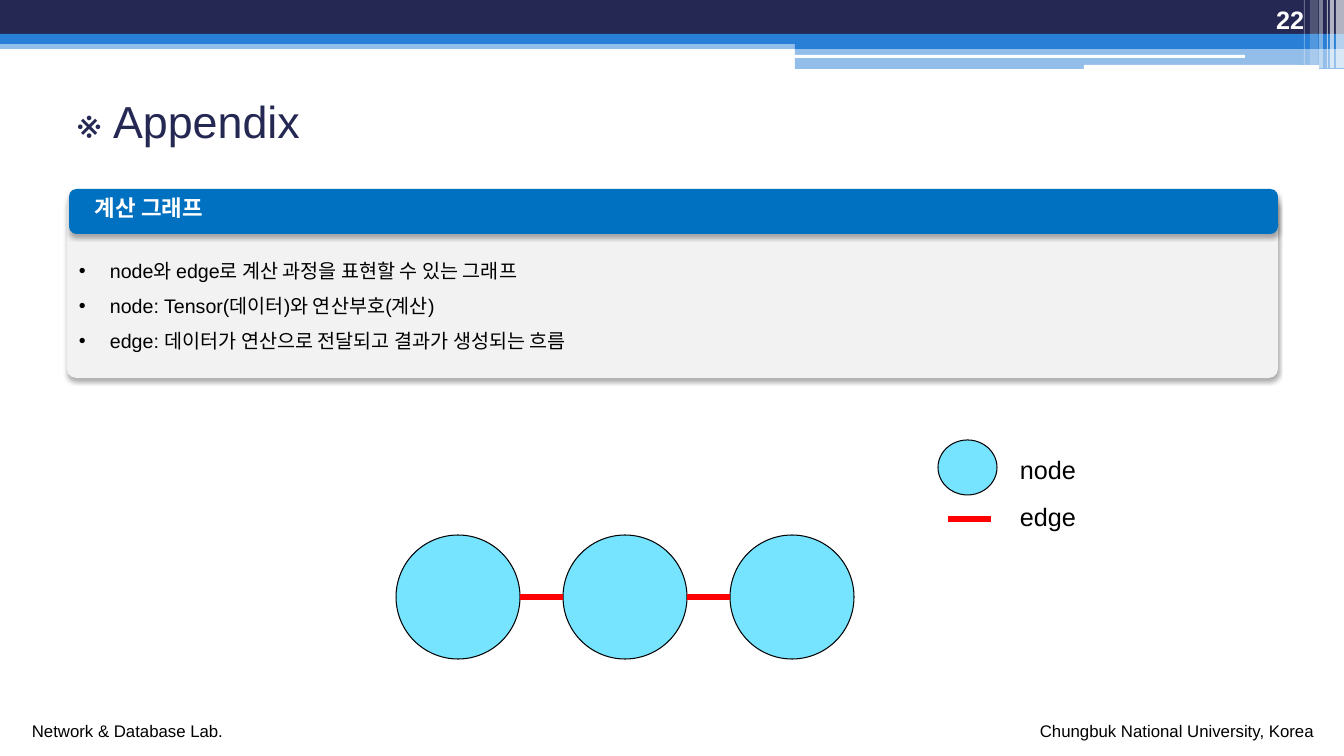
"""Build the appendix slide that explains computation graphs."""
from lxml import etree
from pptx import Presentation, util as u
from pptx.dml.color import RGBColor
from pptx.enum import shapes, text
from pptx.oxml.ns import qn

NAVY = RGBColor(0x24, 0x28, 0x52)
BLUE = RGBColor(0x29, 0x7F, 0xD5)
HEADER_BLUE = RGBColor(0x00, 0x70, 0xC0)
PANEL_GREY = RGBColor(0xF2, 0xF2, 0xF2)
CYAN = RGBColor(0x76, 0xE3, 0xFF)
RED = RGBColor(0xFF, 0x00, 0x00)
BLACK = RGBColor(0x00, 0x00, 0x00)
WHITE = RGBColor(0xFF, 0xFF, 0xFF)

FONT = "Arial"
EMU_PER_PX = 914400 / 100.8
RECT, ROUND, OVAL = (shapes.MSO_SHAPE.RECTANGLE, shapes.MSO_SHAPE.ROUNDED_RECTANGLE,
                     shapes.MSO_SHAPE.OVAL)

BANDS = [
    (RECT, (0, 40, 1344, 9), BLUE, 50),
    (RECT, (0, 0, 1344, 34), NAVY, 100),
    (RECT, (0, 34, 1344, 10), BLUE, 100),
    (RECT, (795, 39, 549, 10), BLUE, 100),
    (RECT, (795, 49, 549, 20), BLUE, 50),
    (ROUND, (794, 55, 451, 3), WHITE, 100),
    (ROUND, (1084, 65, 235, 4), WHITE, 100),
]
STRIPES = [(1336, 8, 68, 65), (1330, 4, 68, 65), (1327, 1, 68, 60),
           (1319, 4, 68, 40), (1310, 8, 65, 20), (1304, 1, 65, 30)]

FOOTERS = [("Network & Database Lab.", (22, 716, 213, 30)),
           ("Chungbuk National University, Korea", (1030, 716, 296, 30))]
TITLE = "※ Appendix"
PAGE_NUMBER = "22"
HEADER = "계산 그래프"
BULLETS = [
    "node와 edge로 계산 과정을 표현할 수 있는 그래프",
    "node: Tensor(데이터)와 연산부호(계산)",
    "edge: 데이터가 연산으로 전달되고 결과가 생성되는 흐름",
]
LEGEND = [("node", 449), ("edge", 496)]

NODE_LEFT, NODE_TOP, NODE_SIZE, NODE_PITCH, NODE_COUNT = 396, 535, 124, 167, 3


def px(n):
    return u.Emu(round(n * EMU_PER_PX))


def add_shape(s, kind, box, fill, alpha=100, outline=None):
    sp = s.shapes.add_shape(kind, *map(px, box))
    sp.shadow.inherit = False
    sp.fill.solid()
    sp.fill.fore_color.rgb = fill
    if alpha < 100:
        clr = sp.fill._xPr.find(qn("a:solidFill"))[0]
        etree.SubElement(clr, qn("a:alpha"), val=str(alpha * 1000))
    if outline is None:
        sp.line.fill.background()
    else:
        sp.line.color.rgb = outline
        sp.line.width = u.Pt(0.75)
    return sp


def add_drop_shadow(sp):
    effects = sp._element.spPr.find(qn("a:effectLst"))
    shadow = etree.SubElement(effects, qn("a:outerShdw"), blurRad=str(u.Pt(3.5)),
                              dist=str(u.Pt(2.2)), dir="5400000", rotWithShape="0")
    clr = etree.SubElement(shadow, qn("a:srgbClr"), val="000000")
    etree.SubElement(clr, qn("a:alpha"), val="32000")


def add_text(s, lines, box, size, color=BLACK, bold=False, wrap=True,
             anchor=text.MSO_ANCHOR.TOP, align=text.PP_ALIGN.LEFT, bullet=False):
    tf = s.shapes.add_textbox(*map(px, box)).text_frame
    tf.word_wrap = wrap
    tf.vertical_anchor = anchor
    tf.text = "\n".join(lines)
    for p in tf.paragraphs:
        p.alignment = align
        if bullet:
            p.line_spacing = 1.5
            pPr = p._p.get_or_add_pPr()
            pPr.set("marL", str(px(31)))
            pPr.set("indent", str(-px(31)))
            etree.SubElement(pPr, qn("a:buFont"), typeface=FONT)
            etree.SubElement(pPr, qn("a:buChar"), char="•")
        for r in p.runs:
            r.font.name = FONT
            r.font.size = u.Pt(size)
            r.font.bold = bold
            r.font.color.rgb = color


def add_edge(s, x1, x2, y):
    line = s.shapes.add_connector(shapes.MSO_CONNECTOR.STRAIGHT, px(x1), px(y), px(x2), px(y))
    line.line.color.rgb = RED
    line.line.width = u.Pt(4.5)
    etree.SubElement(line._element.spPr, qn("a:effectLst"))


def main():
    prs = Presentation()
    prs.slide_width, prs.slide_height = px(1344), px(756)
    s = prs.slides.add_slide(prs.slide_layouts[6])

    for kind, box, fill, alpha in BANDS:
        add_shape(s, kind, box, fill, alpha)
    for left, width, height, alpha in STRIPES:
        add_shape(s, RECT, (left, 0, width, height), WHITE, alpha)
    for label, box in FOOTERS:
        add_text(s, [label], box, 12, wrap=False)

    add_text(s, [TITLE], (67, 62, 1210, 118), 32, NAVY, anchor=text.MSO_ANCHOR.MIDDLE)
    add_text(s, [PAGE_NUMBER], (1202, 0, 112, 40), 18, WHITE, bold=True,
             anchor=text.MSO_ANCHOR.BOTTOM, align=text.PP_ALIGN.RIGHT)

    panel = add_shape(s, ROUND, (67, 195, 1211, 183), PANEL_GREY)
    panel.adjustments[0] = 0.05
    header = add_shape(s, ROUND, (69, 189, 1209, 45), HEADER_BLUE)
    for sp in (panel, header):
        add_drop_shadow(sp)
    add_text(s, [HEADER], (85, 189, 967, 37), 16, WHITE, bold=True)
    add_text(s, BULLETS, (69, 242, 1215, 113), 14, bullet=True)

    for i in range(NODE_COUNT):
        left = NODE_LEFT + i * NODE_PITCH
        add_shape(s, OVAL, (left, NODE_TOP, NODE_SIZE, NODE_SIZE), CYAN, outline=BLACK)
        if i:
            add_edge(s, left - NODE_PITCH + NODE_SIZE, left, NODE_TOP + NODE_SIZE / 2)

    add_edge(s, 948, 991, 519)
    add_shape(s, OVAL, (938, 440, 59, 55), CYAN, outline=BLACK)
    for label, top in LEGEND:
        add_text(s, [label], (1010, top, 84, 40), 18)

    prs.save("out.pptx")


if __name__ == "__main__":
    main()
